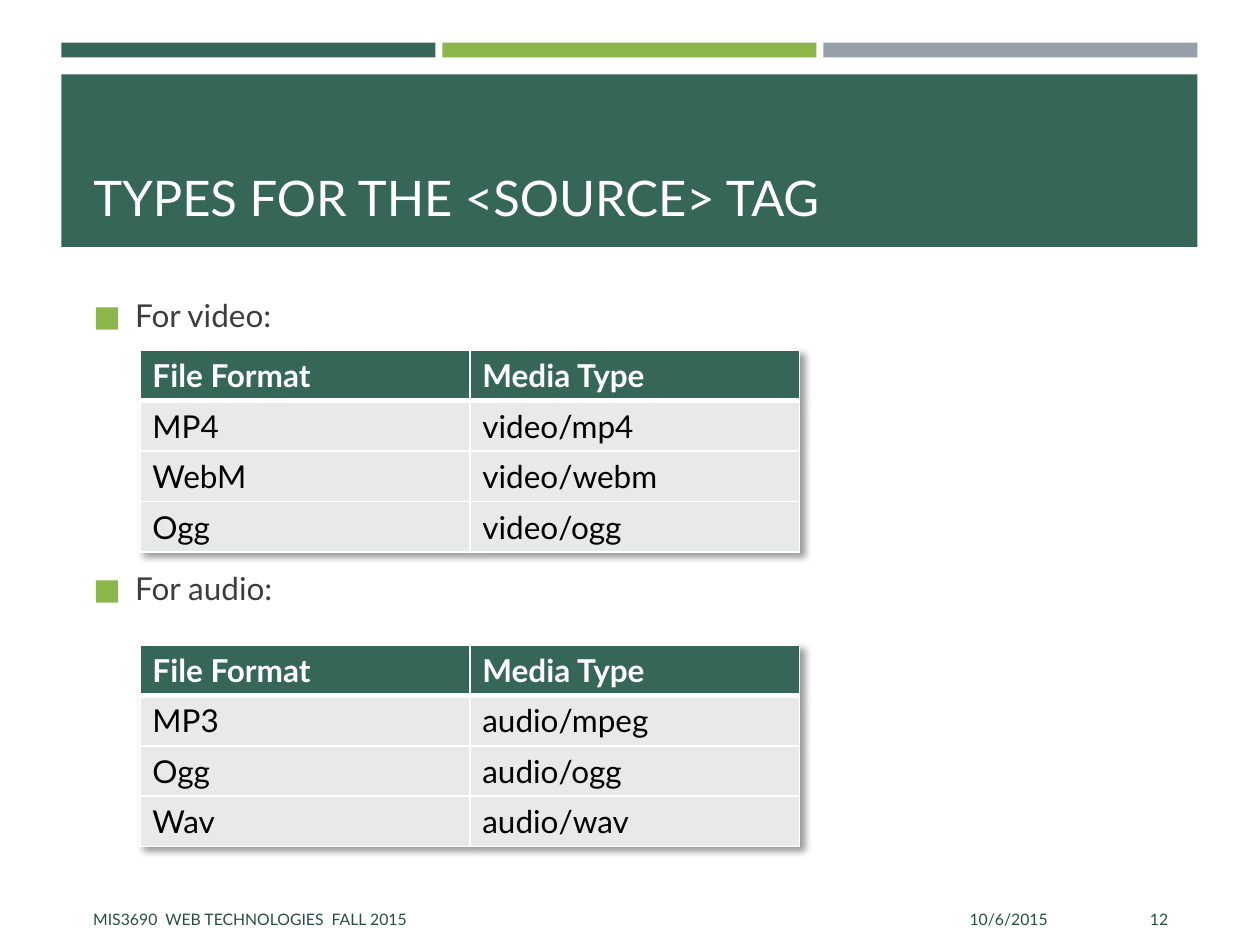
import dataclasses

import pptx
import pptx.dml.color
import pptx.enum.shapes
import pptx.enum.text
import pptx.oxml
import pptx.oxml.ns
import pptx.util

Cm = pptx.util.Cm
Pt = pptx.util.Pt
ALIGN = pptx.enum.text.PP_ALIGN
ANCHOR = pptx.enum.text.MSO_ANCHOR

COLOURS = {
    "green": "366658", "lime": "8CB64A", "grey": "969FA7", "white": "FFFFFF",
    "text": "3D3D3D", "footer": "284D42", "cell": "E8EAEA", "black": "000000",
}
TITLE_FONT = {"name": "Lato", "size": Pt(28), "bold": False}
TEXT_FONT = {"name": "Lato", "size": Pt(18), "bold": False}
HEADER_FONT = {"name": "Lato", "size": Pt(18), "bold": True}
FOOTER_FONT = {"name": "Lato", "size": Pt(9), "bold": False}


@dataclasses.dataclass
class Box:
    """A region of the slide, in centimetres."""
    left: float
    top: float
    width: float
    height: float

    def inner(self, left, top, width, height):
        """Return a box placed relative to this one."""
        return Box(self.left + left, self.top + top, width, height)

    def lengths(self):
        """Return the four values as lengths."""
        return [Cm(value) for value in dataclasses.astuple(self)]


def colour(name):
    """Return a named colour."""
    return pptx.dml.color.RGBColor.from_string(COLOURS[name])


def apply_format(target, values):
    """Set each attribute of the target from a dict."""
    for name, value in values.items():
        setattr(target, name, value)


def make_xml(text):
    """Parse a DrawingML fragment."""
    start, rest = text.split(" ", 1)
    return pptx.oxml.parse_xml(f"{start} {pptx.oxml.ns.nsdecls('a')} {rest}")


def write(para, text, font, colour_name):
    """Add one formatted span of text to a paragraph."""
    span = para.add_run()
    span.text = text
    apply_format(span.font, font)
    span.font.color.rgb = colour(colour_name)


def place(shape, box):
    """Move and size a shape to fill a box."""
    apply_format(shape, dict(zip(("left", "top", "width", "height"), box.lengths())))


def add_block(page, box, colour_name):
    """Draw a plain rectangle behind the title."""
    block = page.shapes.add_shape(pptx.enum.shapes.MSO_SHAPE.RECTANGLE, *box.lengths())
    block.shadow.inherit = False
    block.fill.solid()
    block.fill.fore_color.rgb = colour(colour_name)
    block.line.fill.background()
    page.shapes.title.element.addprevious(block.element)


def add_header(page, box, text):
    """Draw the three strips, the banner and the title."""
    gap = 0.14
    width = (box.width - 2 * gap) / 3
    for index, name in enumerate(("green", "lime", "grey")):
        add_block(page, box.inner(index * (width + gap), 0, width, 0.3), name)
    add_block(page, box.inner(0, 0.64, box.width, 3.48), "green")

    title = page.shapes.title
    place(title, box.inner(0.39, 0.84, 22.2, 3))
    apply_format(title.text_frame, {
        "vertical_anchor": ANCHOR.BOTTOM, "word_wrap": True,
        "auto_size": pptx.enum.text.MSO_AUTO_SIZE.NONE})
    para = title.text_frame.paragraphs[0]
    para.alignment = ALIGN.LEFT
    write(para, text, TITLE_FONT, "white")


def add_bullets(page, box, texts, gap):
    """Fill the body with bullets, leaving a gap for a table after each."""
    body = page.placeholders[1]
    place(body, box)
    frame = body.text_frame
    apply_format(frame, {
        "vertical_anchor": ANCHOR.TOP, "word_wrap": True,
        "auto_size": pptx.enum.text.MSO_AUTO_SIZE.NONE})
    for index, text in enumerate(texts):
        para = frame.add_paragraph() if index else frame.paragraphs[0]
        apply_format(para, {"space_before": Pt(gap if index else 0), "space_after": Pt(6)})
        write(para, text, TEXT_FONT, "text")
        properties = para._p.get_or_add_pPr()
        properties.set("marL", str(Cm(0.84)))
        properties.set("indent", str(-Cm(0.84)))
        for fragment in (
                f'<a:buClr ><a:srgbClr val="{COLOURS["lime"]}"/></a:buClr>',
                '<a:buSzPct val="92000"/>',
                '<a:buFont typeface="Lato"/>',
                '<a:buChar char="■"/>'):
            properties.append(make_xml(fragment))


def add_borders(cell, bottom):
    """Give a cell white borders, with its own bottom width."""
    properties = cell._tc.get_or_add_tcPr()
    for index, (side, width) in enumerate(zip("LRTB", (1, 1, 1, bottom))):
        properties.insert(index, make_xml(
            f'<a:ln{side} w="{Pt(width)}"><a:solidFill>'
            f'<a:srgbClr val="{COLOURS["white"]}"/></a:solidFill></a:ln{side}>'))


def add_format_table(page, box, rows):
    """Draw a table of file formats with a header row and a soft shadow."""
    table = page.shapes.add_table(len(rows), len(rows[0]), *box.lengths()).table
    table.horz_banding = False
    table._tbl.tblPr.insert(0, make_xml(
        '<a:effectLst ><a:outerShdw blurRad="50800" dist="38100" dir="2700000" '
        'algn="tl" rotWithShape="0"><a:prstClr val="black"><a:alpha val="40000"/>'
        '</a:prstClr></a:outerShdw></a:effectLst>'))
    for row_index, row in enumerate(rows):
        header = row_index == 0
        for column_index, text in enumerate(row):
            cell = table.cell(row_index, column_index)
            cell.vertical_anchor = ANCHOR.MIDDLE
            cell.fill.solid()
            cell.fill.fore_color.rgb = colour("green" if header else "cell")
            write(cell.text_frame.paragraphs[0], text,
                  HEADER_FONT if header else TEXT_FONT, "white" if header else "black")
            add_borders(cell, 3 if header else 1)


def add_footer(page, box, course, date, number):
    """Place the course name, the date and the slide number."""
    for text, left, width, align in (
            (course, 0, 13.54, ALIGN.LEFT),
            (date, 13.82, 5.92, ALIGN.RIGHT),
            (number, 20.04, 2.13, ALIGN.RIGHT)):
        part = page.shapes.add_textbox(*box.inner(left, 0, width, box.height).lengths())
        apply_format(part.text_frame, {"word_wrap": True, "vertical_anchor": ANCHOR.MIDDLE})
        para = part.text_frame.paragraphs[0]
        para.alignment = align
        write(para, text, FOOTER_FONT, "footer")


def main():
    """Build and save the slide."""
    deck = pptx.Presentation()
    apply_format(deck, {"slide_width": Cm(25.4), "slide_height": Cm(19.05)})
    page = deck.slides.add_slide(deck.slide_layouts[1])
    add_header(page, Box(1.24, 0.86, 22.9, 4.12), "TYPES FOR THE <SOURCE> TAG")
    content = Box(1.63, 5.84, 22.2, 11.73)
    add_bullets(page, content, ("For video:", "For audio:"), 128.4)
    heading = ("File Format", "Media Type")
    for top, formats in (
            (7.16, (("MP3", "audio/mpeg"), ("Ogg", "audio/ogg"), ("Wav", "audio/wav"))),
            (1.22, (("MP4", "video/mp4"), ("WebM", "video/webm"), ("Ogg", "video/ogg")))):
        add_format_table(page, content.inner(1.19, top, 13.3, 4.06), (heading, *formats))
    add_footer(page, Box(1.63, 18.03, 22.2, 1.02),
               "MIS3690  WEB TECHNOLOGIES  FALL 2015", "10/6/2015", "12")
    deck.save("out.pptx")


main()
